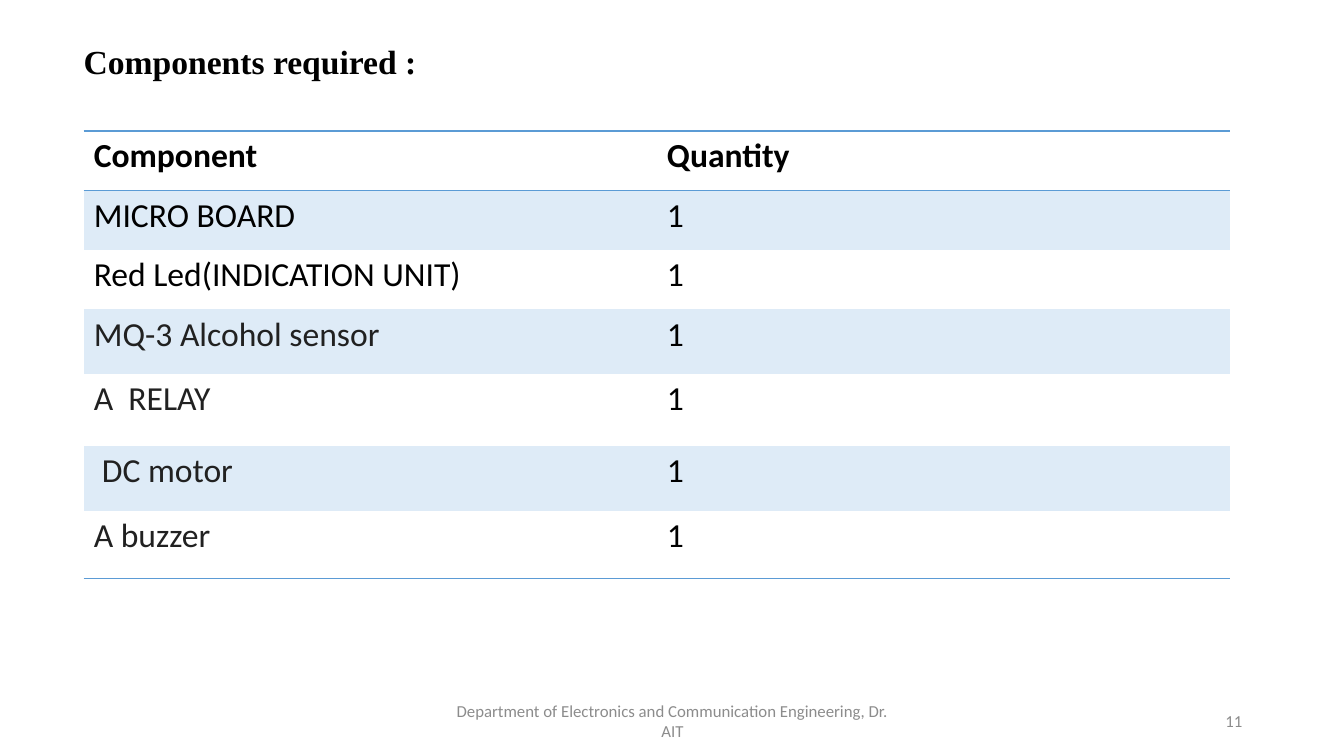
from lxml import etree
from pptx import Presentation
from pptx.dml.color import RGBColor
from pptx.enum.text import MSO_ANCHOR, PP_ALIGN
from pptx.oxml.ns import qn
from pptx.util import Inches, Pt

LEFT, CENTER, RIGHT = PP_ALIGN.LEFT, PP_ALIGN.CENTER, PP_ALIGN.RIGHT
TOP, MIDDLE = MSO_ANCHOR.TOP, MSO_ANCHOR.MIDDLE

SLIDE_WIDTH, SLIDE_HEIGHT = Inches(13.33), Inches(7.5)
BLACK, CHARCOAL, GRAY = "000000", "212121", "8C8C8C"
RULE_BLUE, BAND_BLUE = "5B9BD5", "DEEBF7"

FOOTER_TOP, FOOTER_HEIGHT = 92.67, 5.33
COLUMN_WIDTH = 42.65
ROW_HEIGHTS = [7.87, 7.87, 7.87, 8.53, 9.47, 8.67, 8.93]
COMPONENTS = [
    ("Component", "Quantity", BLACK, 0),
    ("MICRO BOARD", "1", BLACK, 0),
    ("Red Led(INDICATION UNIT)", "1", BLACK, 0),
    ("MQ-3 Alcohol sensor", "1", CHARCOAL, 0),
    ("A  RELAY", "1", CHARCOAL, 0),
    ("DC motor", "1", CHARCOAL, 0.08),
    ("A buzzer", "1", CHARCOAL, 0),
]


def across(percent):
    return round(SLIDE_WIDTH * percent / 100)


def down(percent):
    return round(SLIDE_HEIGHT * percent / 100)


def color(value):
    return RGBColor.from_string(value)


def add_run(paragraph, text, size, font_name, font_color, bold=False):
    run = paragraph.add_run()
    run.text = text
    run.font.size = Pt(size)
    run.font.name = font_name
    run.font.bold = bold
    run.font.color.rgb = color(font_color)


def add_text(slide, left, top, width, height, text, size, font_name,
             font_color, bold=False, alignment=LEFT, anchor=TOP):
    shape = slide.shapes.add_textbox(
        across(left), down(top), across(width), down(height))
    shape.text_frame.word_wrap = True
    shape.text_frame.vertical_anchor = anchor
    paragraph = shape.text_frame.paragraphs[0]
    paragraph.alignment = alignment
    add_run(paragraph, text, size, font_name, font_color, bold)


def set_borders(cell, ruled_sides):
    properties = cell._tc.get_or_add_tcPr()
    for side in "LRTB":
        line = etree.SubElement(properties, qn(f"a:ln{side}"), w=str(Pt(1)))
        if side in ruled_sides:
            fill = etree.SubElement(line, qn("a:solidFill"))
            etree.SubElement(fill, qn("a:srgbClr"), val=RULE_BLUE)
        else:
            etree.SubElement(line, qn("a:noFill"))


def fill_cell(cell, text, font_color, bold, ruled_sides, banded):
    set_borders(cell, ruled_sides)
    if banded:
        cell.fill.solid()
        cell.fill.fore_color.rgb = color(BAND_BLUE)
    else:
        cell.fill.background()
    add_run(cell.text_frame.paragraphs[0], text, 24, "Calibri", font_color, bold)


def add_component_table(slide, left, top):
    table = slide.shapes.add_table(
        len(COMPONENTS), 2, across(left), down(top),
        across(2 * COLUMN_WIDTH), down(sum(ROW_HEIGHTS))).table
    for column in table.columns:
        column.width = across(COLUMN_WIDTH)
    ruled = {0: "TB", 1: "T", len(COMPONENTS) - 1: "B"}
    for index, (name, quantity, name_color, indent) in enumerate(COMPONENTS):
        table.rows[index].height = down(ROW_HEIGHTS[index])
        table.cell(index, 0).margin_left = Inches(0.1 + indent)
        for column, (text, font_color) in enumerate(
                [(name, name_color), (quantity, BLACK)]):
            fill_cell(table.cell(index, column), text, font_color,
                      index == 0, ruled.get(index, ""), index % 2 == 1)


def main():
    presentation = Presentation()
    presentation.slide_width = SLIDE_WIDTH
    presentation.slide_height = SLIDE_HEIGHT
    slide = presentation.slides.add_slide(presentation.slide_layouts[6])

    add_text(slide, 33.15, FOOTER_TOP, 33.76, FOOTER_HEIGHT,
             "Department of Electronics and Communication Engineering, Dr. AIT",
             12, "Calibri", GRAY, alignment=CENTER, anchor=MIDDLE)
    add_text(slide, 70.67, FOOTER_TOP, 22.5, FOOTER_HEIGHT, "11",
             12, "Calibri", GRAY, alignment=RIGHT, anchor=MIDDLE)
    add_text(slide, 5.48, 4.8, 30.38, 6.67, "Components required :",
             24, "Times New Roman", BLACK, bold=True)
    add_component_table(slide, 6.23, 17.33)

    presentation.save("out.pptx")


if __name__ == "__main__":
    main()
